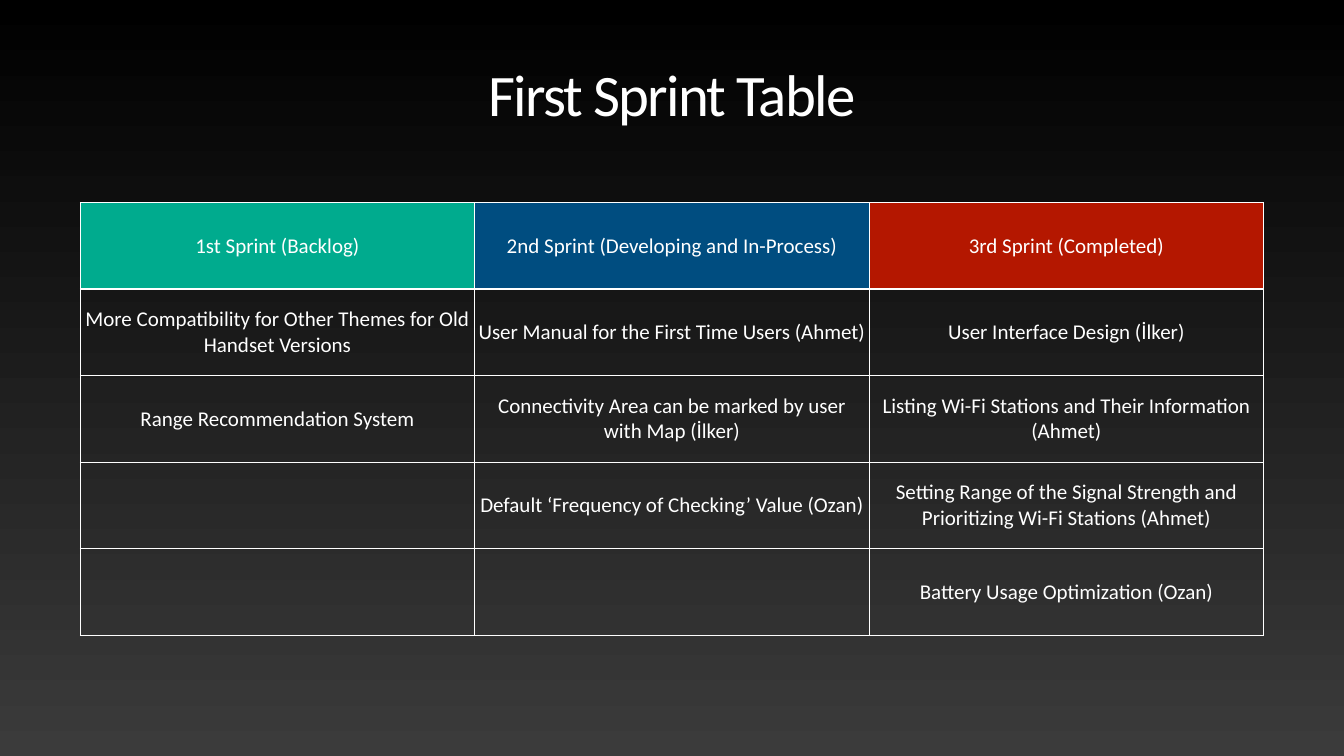
import pptx
import pptx.util
import pptx.dml.color
import pptx.enum.text
import pptx.oxml
import pptx.oxml.ns

Pt = pptx.util.Pt
WHITE = "FFFFFF"
FONT = "Calibri"
INSET = Pt(4)

TITLE = "First Sprint Table"
SPRINTS = [
    ("1st Sprint (Backlog)", "00AB8E", [
        "More Compatibility for Other Themes for Old Handset Versions",
        "Range Recommendation System",
    ]),
    ("2nd Sprint (Developing and In-Process)", "004D80", [
        "User Manual for the First Time Users (Ahmet)",
        "Connectivity Area can be marked by user with Map (İlker)",
        "Default ‘Frequency of Checking’ Value (Ozan)",
    ]),
    ("3rd Sprint (Completed)", "B41700", [
        "User Interface Design (İlker)",
        "Listing Wi-Fi Stations and Their Information (Ahmet)",
        "Setting Range of the Signal Strength and Prioritizing Wi-Fi Stations (Ahmet)",
        "Battery Usage Optimization (Ozan)",
    ]),
]
TABLE_LEFT, TABLE_TOP = 114.5, 289.5
COLUMN_WIDTH, ROW_HEIGHT = 563.6, 123.6


def color(value):
    return pptx.dml.color.RGBColor.from_string(value)


def write(frame, text, size):
    frame.text = text
    frame.word_wrap = True
    para = frame.paragraphs[0]
    para.alignment = pptx.enum.text.PP_ALIGN.CENTER
    for span in para.runs:
        span.font.name = FONT
        span.font.size = Pt(size)
        span.font.color.rgb = color(WHITE)
    return para


def set_insets(target):
    target.margin_left = target.margin_right = INSET
    target.margin_top = target.margin_bottom = INSET


def draw_borders(cell, top, bottom):
    properties = cell._tc.get_or_add_tcPr()
    widths = {"lnL": 1, "lnR": 1, "lnT": top, "lnB": bottom}
    for index, (side, width) in enumerate(widths.items()):
        properties.insert(index, pptx.oxml.parse_xml(
            f'<a:{side} {pptx.oxml.ns.nsdecls("a")} w="{Pt(width)}">'
            f'<a:solidFill><a:srgbClr val="{WHITE}"/></a:solidFill></a:{side}>'))


def paint_background(page):
    fill = page.background.fill
    fill.gradient()
    fill.gradient_angle = 270
    for stop, position, value in zip(fill.gradient_stops, (0, 1), ("000000", "3B3B3B")):
        stop.position = position
        stop.color.rgb = color(value)


def add_title(page):
    box = page.shapes.add_textbox(Pt(100), Pt(64), Pt(1720), Pt(122.4))
    frame = box.text_frame
    set_insets(frame)
    frame.vertical_anchor = pptx.enum.text.MSO_ANCHOR.BOTTOM
    para = write(frame, TITLE, 84)
    para.line_spacing = 0.8
    para.runs[0].font._element.set("spc", "-250")


def add_sprint_table(page):
    columns = len(SPRINTS)
    rows = 1 + max(len(tasks) for heading, fill, tasks in SPRINTS)
    table = page.shapes.add_table(
        rows, columns, Pt(TABLE_LEFT), Pt(TABLE_TOP),
        Pt(COLUMN_WIDTH * columns), Pt(ROW_HEIGHT * rows)).table
    table.horz_banding = False
    for column, (heading, fill, tasks) in enumerate(SPRINTS):
        texts = [heading] + tasks
        for row in range(rows):
            cell = table.cell(row, column)
            set_insets(cell)
            cell.vertical_anchor = pptx.enum.text.MSO_ANCHOR.MIDDLE
            if row == 0:
                cell.fill.solid()
                cell.fill.fore_color.rgb = color(fill)
            else:
                cell.fill.background()
            if row < len(texts):
                write(cell.text_frame, texts[row], 30)
            draw_borders(cell, 3 if row == 1 else 1, 3 if row == 0 else 1)


def main():
    deck = pptx.Presentation()
    deck.slide_width, deck.slide_height = Pt(1920), Pt(1080)
    page = deck.slides.add_slide(deck.slide_layouts[6])
    paint_background(page)
    add_title(page)
    add_sprint_table(page)
    deck.save("out.pptx")


if __name__ == "__main__":
    main()
